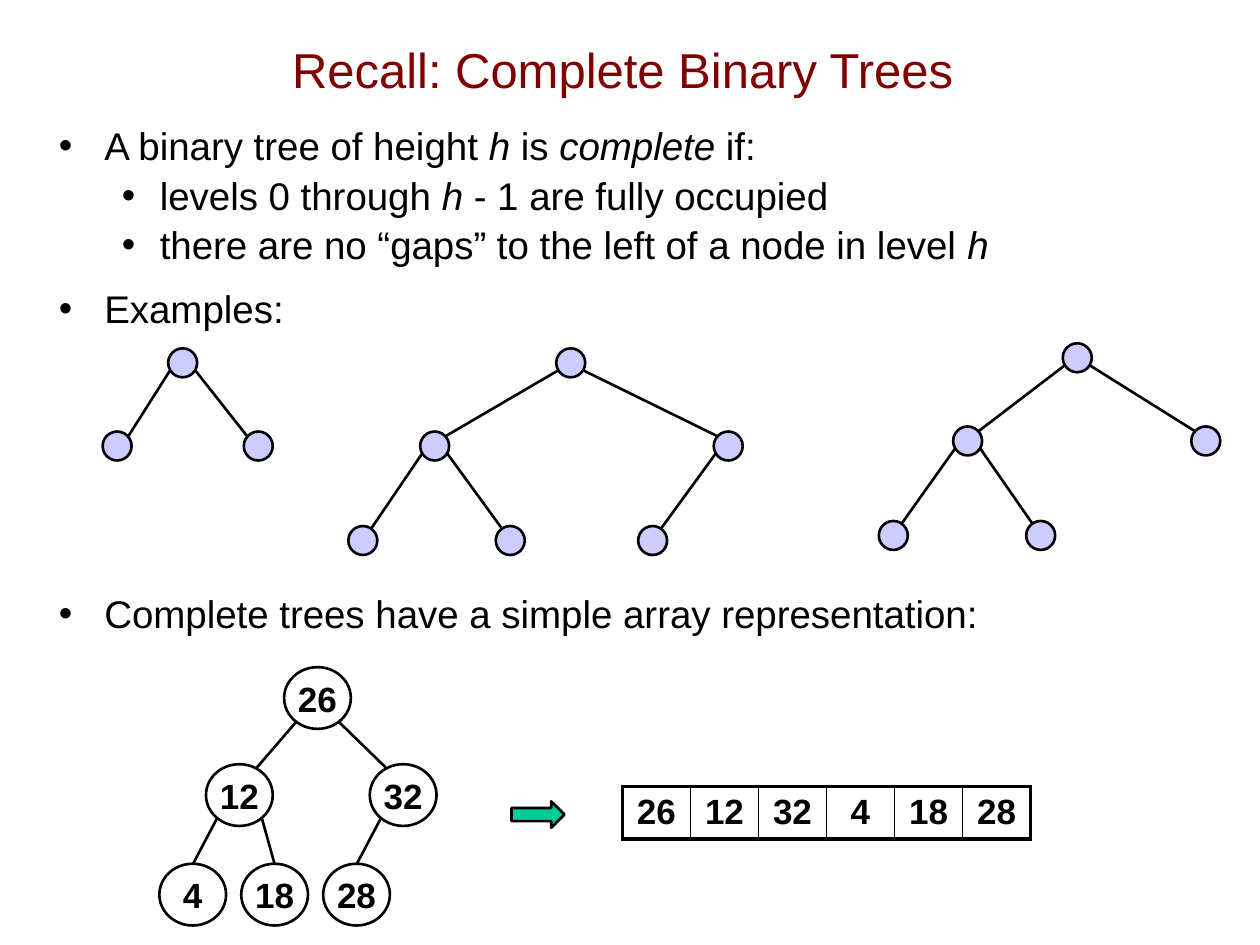
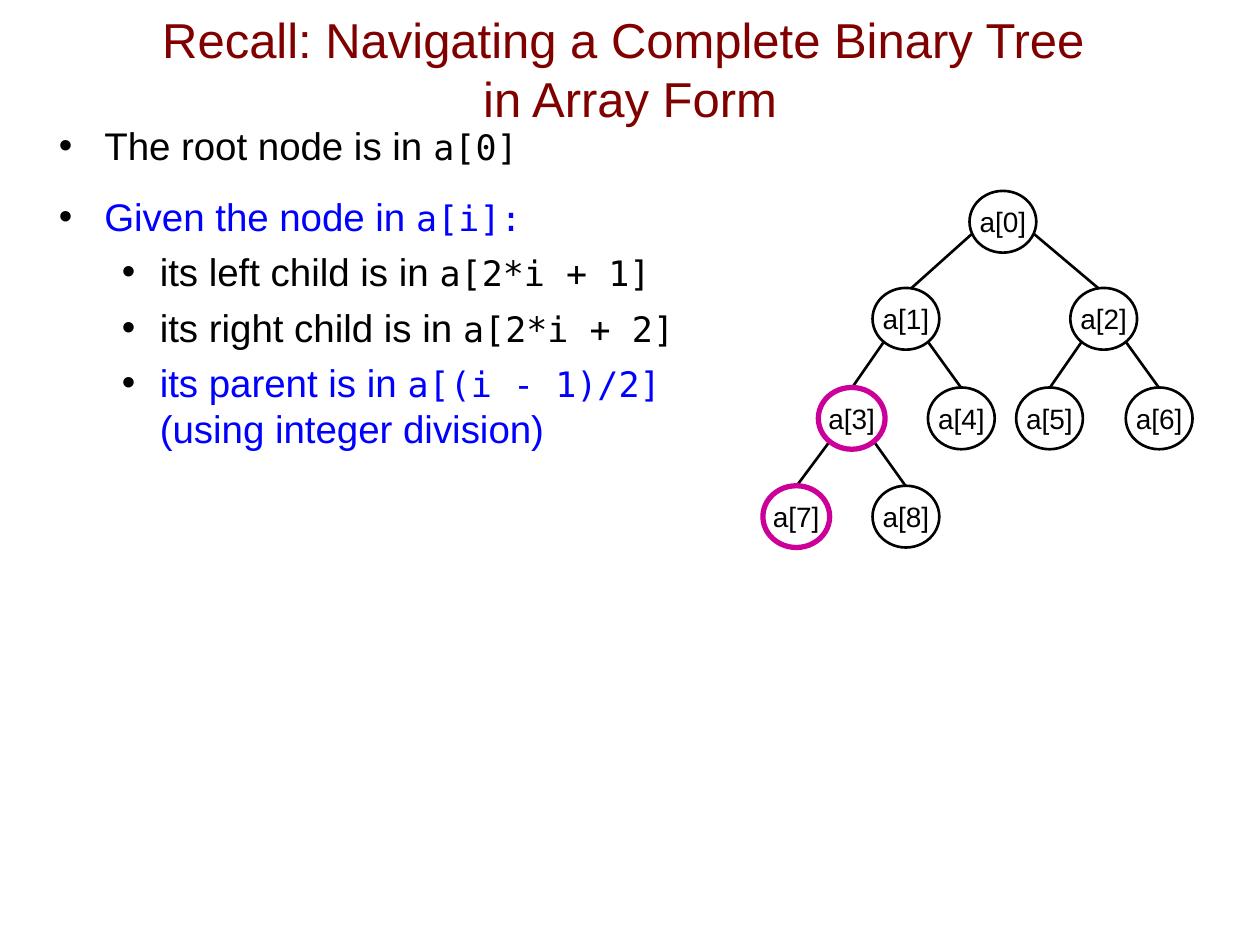
"""Builds two slides that recall complete binary trees and their array form."""
from lxml import etree
from pptx import Presentation
from pptx import util as u
from pptx.dml.color import RGBColor
from pptx.enum import shapes, text
from pptx.oxml import ns

BLACK = RGBColor(0x00, 0x00, 0x00)
MAROON = RGBColor(0x80, 0x00, 0x00)
BLUE = RGBColor(0x00, 0x00, 0xFF)
LILAC = RGBColor(0xCC, 0xCC, 0xFF)
GREEN = RGBColor(0x00, 0xCC, 0x99)
MAGENTA = RGBColor(0xCC, 0x00, 0x99)

SLIDE = (10, 7.5)
BODY = (0.37, 0.92, 9.17, 6.14)
PAD = (0.1, 0.05, 0.1, 0.05)
DOT = (0.23, 0.23)
RING = (0.53, 0.49)
THIN, BOLD = 1.5, 3

ITALIC = dict(italic=True)
CODE = dict(font="DejaVu Sans Mono", size=20)
ASK = dict(color=BLUE)
ASK_CODE = dict(CODE, color=BLUE)
INDENT = [(0.36, -0.36), (0.8, -0.3)]

RECALL = dict(
    title="Recall: Complete Binary Trees",
    title_box=(0.64, 0.08, 8.6, 0.93),
    bullets=[
        (0, 14.2, [("A binary tree of height ", {}), ("h", ITALIC), (" is ", {}),
                   ("complete", ITALIC), (" if:", {})]),
        (1, 2, [("levels 0 through ", {}), ("h ", ITALIC),
                ("- 1 are fully occupied", {})]),
        (1, 2, [("there are no “gaps” to the left of a node in level ", {}),
                ("h", ITALIC)]),
        (0, 10, [("Examples:", {})]),
        (0, 148, [("Complete trees have a simple array representation:", {})]),
    ])

NAVIGATING = dict(
    title="Recall: Navigating a Complete Binary Tree \nin Array Form",
    title_box=(0.11, 0.08, 9.78, 0.93),
    bullets=[
        (0, 14.2, [("The root node is in ", {}), ("a[0]", CODE)]),
        (0, 14.2, [("Given the node in ", ASK), ("a[i]:", ASK_CODE)]),
        (1, 5.2, [("its left child is in ", {}), ("a[2*i + 1]", CODE)]),
        (1, 5.2, [("its right child is in ", {}), ("a[2*i + 2]", CODE)]),
        (1, 5.2, [("its parent is in ", ASK), ("a[(i - 1)/2] \n", ASK_CODE),
                  ("(using integer division)", ASK)]),
    ])

EXAMPLE_ROWS = (0, 0.66, 1.41)
EXAMPLES = [
    (2.88, [[1.45], [0.93, 2.05]]),
    (2.88, [[4.53], [3.45, 5.78], [2.88, 4.05, 5.18]]),
    (2.84, [[8.55], [7.68, 9.57], [7.09, 8.26]]),
]
EXAMPLE_JOINTS = [((0.1, 0.06), (0.09, 0.08)), ((0.1, 0.06), (0.07, 0.1))]

RING_ROWS = (0, 0.77, 1.56, 2.34)
VALUES = ["26", "12", "32", "4", "18", "28"]
VALUE_TREE = (5.54, [[2.52], [1.9, 3.2], [1.53, 2.18, 2.83]])
VALUE_JOINTS = [((0.17, 0.19), (0.14, 0.22)), ((0.18, 0.19), (0, 0.24))]

INDEX_TREE = (1.76, [[7.96], [7.19, 8.76], [6.76, 7.63, 8.33, 9.2], [6.32, 7.19]])
INDEX_JOINTS = [((0.25, 0.1), (0.04, 0.24))] + [((0.18, 0.19), (0, 0.24))] * 2
ON_PATH = {3, 7}

ARRAY = (4.94, 6.24, 0.54, 0.42)
ARROW = (4.06, 6.36, 0.42, 0.21)


def inches(lengths):
    return [u.Inches(length) for length in lengths]


def write(para, words, font="Arial", size=22, color=BLACK, bold=False, italic=False):
    for number, line in enumerate(words.split("\n")):
        if number:
            para.add_line_break()
        if line:
            span = para.add_run()
            span.text = line
            span.font.name, span.font.size = font, u.Pt(size)
            span.font.bold, span.font.italic = bold, italic
            span.font.color.rgb = color


def set_frame(frame, pad, anchor, wrap=True):
    frame.margin_left, frame.margin_top, frame.margin_right, frame.margin_bottom = inches(pad)
    frame.vertical_anchor = anchor
    frame.auto_size = text.MSO_AUTO_SIZE.NONE
    frame.word_wrap = wrap


def add_bullet(para, level, before, spans):
    para.level = level
    para.space_before = u.Pt(before)
    props = para._p.get_or_add_pPr()
    left, hang = INDENT[level]
    props.set("marL", str(u.Inches(left)))
    props.set("indent", str(u.Inches(hang)))
    colour = etree.SubElement(props, ns.qn("a:buClr"))
    etree.SubElement(colour, ns.qn("a:srgbClr"), val=str(BLACK))
    etree.SubElement(props, ns.qn("a:buFont"), typeface="Arial")
    etree.SubElement(props, ns.qn("a:buChar"), char="•")
    for words, style in spans:
        write(para, words, **style)


def add_page(deck, content):
    page = deck.slides.add_slide(deck.slide_layouts[5])
    title = page.shapes.title
    title.left, title.top, title.width, title.height = inches(content["title_box"])
    set_frame(title.text_frame, PAD, text.MSO_ANCHOR.MIDDLE)
    para = title.text_frame.paragraphs[0]
    para.alignment = text.PP_ALIGN.CENTER
    write(para, content["title"], size=28, color=MAROON)

    frame = page.shapes.add_textbox(*inches(BODY)).text_frame
    set_frame(frame, PAD, text.MSO_ANCHOR.TOP)
    for number, bullet in enumerate(content["bullets"]):
        para = frame.add_paragraph() if number else frame.paragraphs[0]
        add_bullet(para, *bullet)
    return page


def add_figure(page, kind, box, fill=None, line=BLACK, weight=THIN):
    figure = page.shapes.add_shape(kind, *inches(box))
    figure.shadow.inherit = False
    if fill is None:
        figure.fill.background()
    else:
        figure.fill.solid()
        figure.fill.fore_color.rgb = fill
    figure.line.color.rgb, figure.line.width = line, u.Pt(weight)
    return figure


def add_edge(page, start, end):
    edge = page.shapes.add_connector(shapes.MSO_CONNECTOR.STRAIGHT, *inches(start + end))
    edge.line.color.rgb, edge.line.width = BLACK, u.Pt(THIN)
    etree.SubElement(edge._element.spPr, ns.qn("a:effectLst"))


def add_tree(page, tree, rows, joints, node, fill=None, labels=(), marked=(), **style):
    """Draws a tree in level order, where node i hangs from node (i - 1) // 2."""
    top, levels = tree
    spots = [(x, top + rows[depth], depth) for depth, xs in enumerate(levels) for x in xs]
    for i, (x, y, depth) in enumerate(spots[1:], 1):
        px, py, _ = spots[(i - 1) // 2]
        (out_x, out_y), (in_x, in_y) = joints[depth - 1]
        side = -1 if i % 2 else 1
        add_edge(page, (px + side * out_x, py + out_y), (x - side * in_x, y - in_y))
    width, height = node
    for i, (x, y, _) in enumerate(spots):
        look = dict(line=MAGENTA, weight=BOLD) if i in marked else {}
        box = (x - width / 2, y - height / 2, width, height)
        circle = add_figure(page, shapes.MSO_SHAPE.OVAL, box, fill, **look)
        if labels:
            set_frame(circle.text_frame, (0, 0, 0, 0), text.MSO_ANCHOR.MIDDLE, wrap=False)
            para = circle.text_frame.paragraphs[0]
            para.alignment = text.PP_ALIGN.CENTER
            write(para, labels[i], **style)


def set_border(cell, side, weight):
    props = cell._tc.get_or_add_tcPr()
    line = etree.SubElement(props, ns.qn("a:ln" + side), w=str(u.Pt(weight)))
    fill = etree.SubElement(line, ns.qn("a:solidFill"))
    etree.SubElement(fill, ns.qn("a:srgbClr"), val=str(BLACK))


def add_array(page, values):
    left, top, width, height = ARRAY
    box = inches((left, top, width * len(values), height))
    table = page.shapes.add_table(1, len(values), *box).table
    table.first_row = table.horz_banding = False
    for i, value in enumerate(values):
        table.columns[i].width = u.Inches(width)
        cell = table.cell(0, i)
        cell.margin_left = cell.margin_right = u.Inches(0.05)
        cell.margin_top = cell.margin_bottom = u.Inches(0.03)
        cell.vertical_anchor = text.MSO_ANCHOR.MIDDLE
        set_border(cell, "L", 1 if i else 2.25)
        set_border(cell, "R", 1 if i < len(values) - 1 else 2.25)
        set_border(cell, "T", 2.25)
        set_border(cell, "B", 2.25)
        cell.fill.background()
        para = cell.text_frame.paragraphs[0]
        para.alignment = text.PP_ALIGN.CENTER
        write(para, value, size=20, bold=True)


def main():
    deck = Presentation()
    deck.slide_width, deck.slide_height = inches(SLIDE)

    page = add_page(deck, RECALL)
    for tree in EXAMPLES:
        add_tree(page, tree, EXAMPLE_ROWS, EXAMPLE_JOINTS, DOT, LILAC)
    add_tree(page, VALUE_TREE, RING_ROWS, VALUE_JOINTS, RING, labels=VALUES,
             size=20, bold=True)
    add_figure(page, shapes.MSO_SHAPE.RIGHT_ARROW, ARROW, GREEN)
    add_array(page, VALUES)

    page = add_page(deck, NAVIGATING)
    labels = [f"a[{i}]" for i in range(sum(map(len, INDEX_TREE[1])))]
    add_tree(page, INDEX_TREE, RING_ROWS, INDEX_JOINTS, RING, labels=labels,
             marked=ON_PATH, size=16)

    deck.save("out.pptx")


if __name__ == "__main__":
    main()
